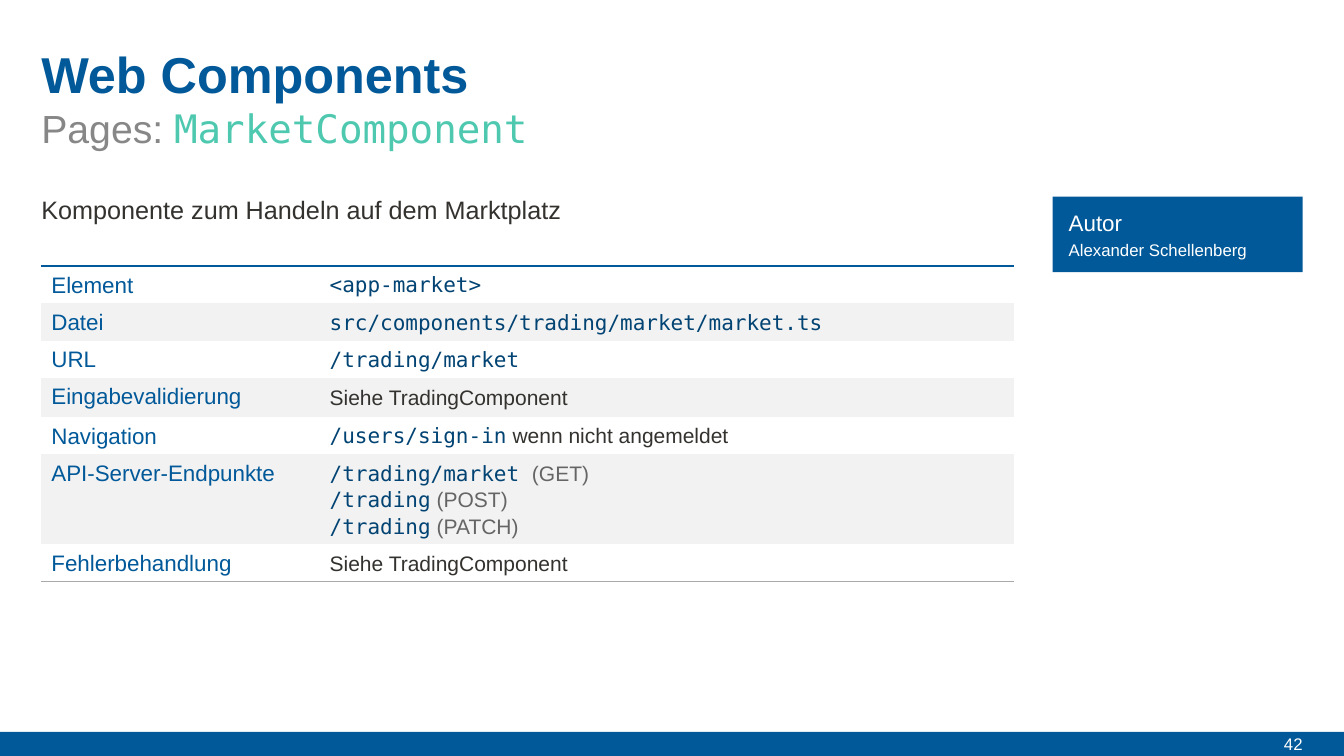
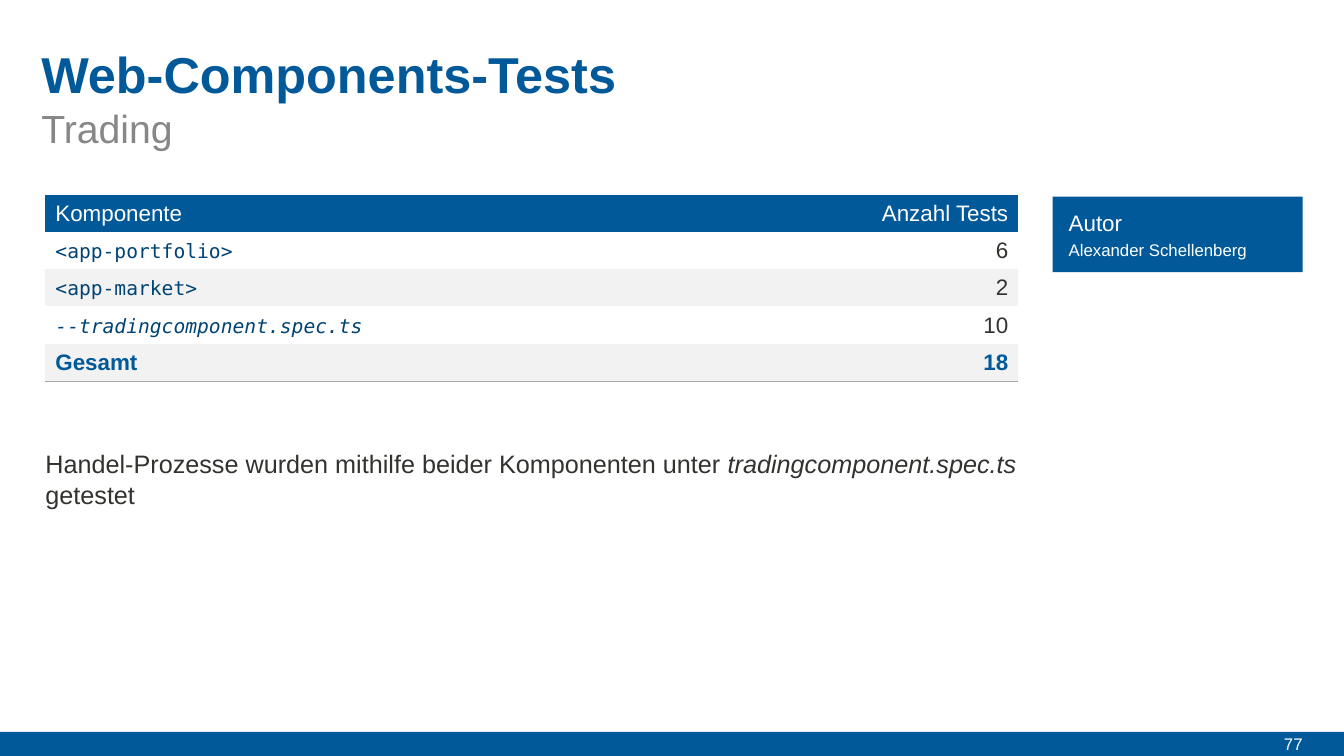
from collections import namedtuple

from lxml import etree
from pptx import Presentation
from pptx import util as u
from pptx.dml.color import RGBColor
from pptx.enum import shapes, text
from pptx.oxml.ns import qn

Inches, Pt = u.Inches, u.Pt
Style = namedtuple("Style", "font size color bold italic", defaults=(False, False))
SANS, MONO = "Arial", "DejaVu Sans Mono"


class Theme:
    blue, navy, teal = "015999", "014373", "4EC9B0"
    ink, gray, dim = "33322F", "878787", "656565"
    white, stripe, rule = "FFFFFF", "F2F2F2", "A9A9A9"

    title = Style(SANS, 36, blue, bold=True)
    subtitle = Style(SANS, 28, gray)
    subtitle_code = Style(MONO, 28, teal)
    body = Style(SANS, 18, ink)
    body_italic = body._replace(italic=True)
    label = Style(SANS, 16, blue)
    total = label._replace(bold=True)
    number = Style(SANS, 16, ink)
    header = Style(SANS, 16, white)
    small = Style(SANS, 12, white)
    value = Style(SANS, 15, ink)
    method = Style(SANS, 15, dim)
    code = Style(MONO, 15, navy)
    test_code = Style(MONO, 14, navy)
    test_code_italic = test_code._replace(italic=True)


T = Theme
WIDTH, HEIGHT = 13.33, 7.5
LEFT, CONTENT_W, RIGHT = 0.41, 9.65, 12.92
BAND_H, ROW_H = 0.24, 0.37
NO_TABLE_STYLE = "{2D5ABB26-0587-4C30-8999-92F81FD0307C}"

# A paragraph is a list of (text, style) runs; a cell is a list of paragraphs.
AUTHOR = "Alexander Schellenberg"
MARKET = [
    ("Element", [[("<app-market>", T.code)]]),
    ("Datei", [[("src/components/trading/market/market.ts", T.code)]]),
    ("URL", [[("/trading/market", T.code)]]),
    ("Eingabevalidierung", [[("Siehe TradingComponent", T.value)]]),
    ("Navigation", [[("/users/sign-in", T.code), (" wenn nicht angemeldet", T.value)]]),
    ("API-Server-Endpunkte", [
        [("/trading/market ", T.code), ("(GET)", T.method)],
        [("/trading", T.code), (" (POST)", T.method)],
        [("/trading", T.code), (" (PATCH)", T.method)],
    ]),
    ("Fehlerbehandlung", [[("Siehe TradingComponent", T.value)]]),
]
MARKET_HEIGHTS = [ROW_H, ROW_H, ROW_H, 0.39, ROW_H, 0.89, ROW_H]
TESTS = [
    ("Komponente", T.header, "Anzahl Tests", T.header),
    ("<app-portfolio>", T.test_code, "6", T.number),
    ("<app-market>", T.test_code, "2", T.number),
    ("--tradingcomponent.spec.ts", T.test_code_italic, "10", T.number),
    ("Gesamt", T.total, "18", T.total),
]
TESTS_NOTE = [
    ("Handel-Prozesse wurden mithilfe beider Komponenten unter ", T.body),
    ("tradingcomponent.spec.ts", T.body_italic),
    (" getestet", T.body),
]


def rgb(color):
    return RGBColor.from_string(color)


def set_font(font, style):
    font.name, font.size = style.font, Pt(style.size)
    font.bold, font.italic = style.bold, style.italic
    font.color.rgb = rgb(style.color)


def write(tf, paragraphs, spacing=None, align=None):
    for i, runs in enumerate(paragraphs):
        p = tf.add_paragraph() if i else tf.paragraphs[0]
        p.alignment, p.line_spacing = align, spacing
        set_font(p.font, runs[0][1])
        for words, style in runs:
            r = p.add_run()
            r.text = words
            if style != runs[0][1]:
                set_font(r.font, style)


def set_frame(tf, anchor):
    tf.word_wrap, tf.vertical_anchor = True, anchor
    tf.auto_size = text.MSO_AUTO_SIZE.NONE
    tf.margin_left = tf.margin_top = tf.margin_right = tf.margin_bottom = 0


def add_text(s, box, runs, spacing=None, align=None, anchor=text.MSO_ANCHOR.TOP):
    tf = s.shapes.add_textbox(*map(Inches, box)).text_frame
    set_frame(tf, anchor)
    write(tf, [runs], spacing, align)


def add_block(s, *box):
    sp = s.shapes.add_shape(shapes.MSO_SHAPE.RECTANGLE, *map(Inches, box))
    sp.shadow.inherit = False
    sp.fill.solid()
    sp.fill.fore_color.rgb = rgb(T.blue)
    sp.line.fill.background()


def set_border(cell, side, color, width):
    """Draw one cell edge; side is T or B."""
    ln = etree.Element(qn(f"a:ln{side}"), w=str(Pt(width)))
    fill = etree.SubElement(ln, qn("a:solidFill"))
    etree.SubElement(fill, qn("a:srgbClr"), val=color)
    cell._tc.get_or_add_tcPr().insert(0, ln)


def add_table(s, left, top, widths, heights, rows, header=False, number_column=False):
    """Add a striped table whose last row is underlined."""
    frame = s.shapes.add_table(len(rows), len(widths), Inches(left), Inches(top),
                               Inches(sum(widths)), Inches(sum(heights)))
    table = frame.table
    table._tbl.tblPr.find(qn("a:tableStyleId")).text = NO_TABLE_STYLE
    table.first_row, table.horz_banding = header, False
    for column, width in zip(table.columns, widths):
        column.width = Inches(width)
    for i, (row, height) in enumerate(zip(rows, heights)):
        table.rows[i].height = Inches(height)
        for j, paragraphs in enumerate(row):
            cell = table.cell(i, j)
            cell.fill.solid()
            color = T.blue if header and i == 0 else (T.white, T.stripe)[(i - header) % 2]
            cell.fill.fore_color.rgb = rgb(color)
            align = text.PP_ALIGN.RIGHT if number_column and j else None
            write(cell.text_frame, paragraphs, Pt(19), align)
            if i == 0 and not header:
                set_border(cell, "T", T.blue, 2)
            if i == len(rows) - 1:
                set_border(cell, "B", T.rule, 0.5)


def add_slide(prs, number, title, subtitle):
    """Add a slide with title, subtitle, author card and footer band."""
    s = prs.slides.add_slide(prs.slide_layouts[5])
    band_top = HEIGHT - BAND_H
    add_block(s, 0, band_top, WIDTH, BAND_H)
    add_text(s, (RIGHT - 0.74, band_top, 0.74, BAND_H), [(str(number), T.small)],
             align=text.PP_ALIGN.RIGHT, anchor=text.MSO_ANCHOR.MIDDLE)

    sp = s.shapes.title
    sp.left, sp.top, sp.width, sp.height = map(Inches, (LEFT, 0.41, CONTENT_W, 0.62))
    set_frame(sp.text_frame, text.MSO_ANCHOR.BOTTOM)
    write(sp.text_frame, [[(title, T.title)]], align=text.PP_ALIGN.LEFT)
    add_text(s, (LEFT, 0.95, CONTENT_W, 0.55), subtitle, 1.1,
             anchor=text.MSO_ANCHOR.BOTTOM)

    add_block(s, 10.44, 1.95, RIGHT - 10.44, 0.75)
    add_text(s, (10.6, 2.08, 2.17, 0.27), [("Autor", T.header)], Pt(19))
    add_text(s, (10.6, 2.38, 2.17, 0.2), [(AUTHOR, T.small)], Pt(14))
    return s


def add_market_slide(prs):
    s = add_slide(prs, 42, "Web Components",
                  [("Pages: ", T.subtitle), ("MarketComponent", T.subtitle_code)])
    add_text(s, (LEFT, 1.92, CONTENT_W, 0.29),
             [("Komponente zum Handeln auf dem Marktplatz", T.body)], Pt(22))
    rows = [([[(label, T.label)]], value) for label, value in MARKET]
    add_table(s, LEFT, 2.64, [2.76, 6.89], MARKET_HEIGHTS, rows)


def add_tests_slide(prs):
    s = add_slide(prs, 77, "Web-Components-Tests", [("Trading", T.subtitle)])
    rows = [([[(name, name_style)]], [[(count, count_style)]])
            for name, name_style, count, count_style in TESTS]
    left = 0.45
    add_table(s, left, 1.93, [CONTENT_W / 2] * 2, [ROW_H] * len(rows), rows,
              header=True, number_column=True)
    add_text(s, (left, 4.44, CONTENT_W, 0.6), TESTS_NOTE, Pt(22))


def main():
    prs = Presentation()
    prs.slide_width, prs.slide_height = Inches(WIDTH), Inches(HEIGHT)
    add_market_slide(prs)
    add_tests_slide(prs)
    prs.save("out.pptx")


if __name__ == "__main__":
    main()
